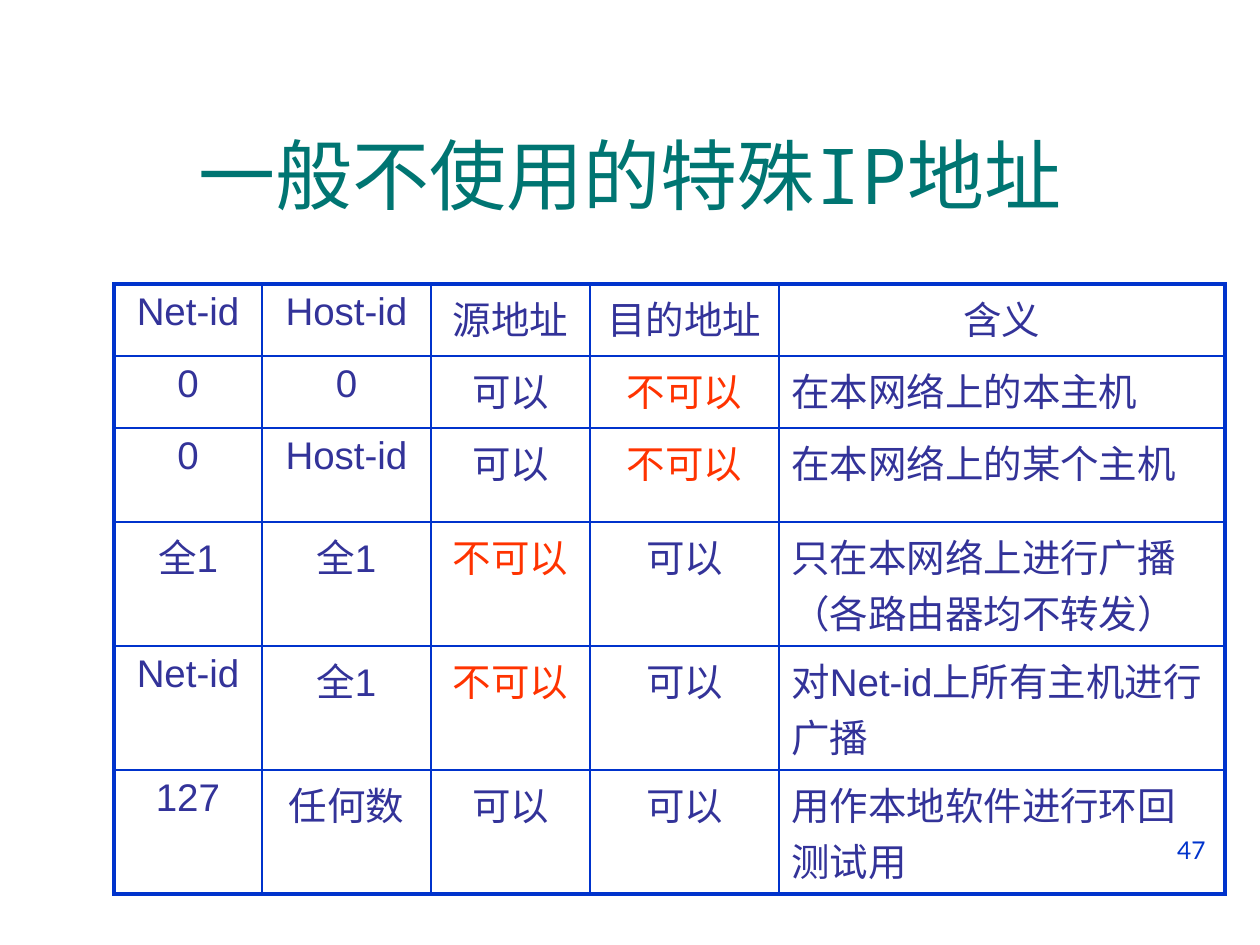
from dataclasses import dataclass

from lxml import etree
from pptx import Presentation
from pptx import util as u
from pptx.dml.color import RGBColor
from pptx.enum import text
from pptx.oxml import ns

PX = u.Inches(1) / 126


@dataclass(frozen=True)
class Theme:
    title: str = "007572"
    body: str = "333399"
    denied: str = "FF3300"
    line: str = "0033CC"
    title_size: int = 44
    body_size: int = 22
    number_size: int = 14
    outer_width: float = 2.25
    inner_width: float = 1


@dataclass(frozen=True)
class Style:
    font: str
    size: int
    color: str
    align: text.PP_ALIGN


@dataclass(frozen=True)
class Label:
    words: str
    left: int
    top: int
    width: int
    height: int
    style: Style
    anchor: text.MSO_ANCHOR


@dataclass(frozen=True)
class AddressRow:
    net: str
    host: str
    source: str
    destination: str
    meaning: str
    height: int

    def cells(self) -> tuple:
        return self.net, self.host, self.source, self.destination, self.meaning


THEME = Theme()
ALLOWED, DENIED = "可以", "不可以"
TABLE_LEFT, TABLE_TOP = 114, 284
COLUMN_WIDTHS = (148, 169, 159, 189, 446)
ONE_LINE, SPACED_LINE, TWO_LINES = 72, 94, 124

LABELS = (
    Label("47", 903, 829, 315, 66,
          Style("Lato", THEME.number_size, THEME.line, text.PP_ALIGN.RIGHT),
          text.MSO_ANCHOR.TOP),
    Label("一般不使用的特殊IP地址", 42, 95, 1176, 157,
          Style("Noto Sans Mono", THEME.title_size, THEME.title, text.PP_ALIGN.CENTER),
          text.MSO_ANCHOR.MIDDLE),
)

ROWS = (
    AddressRow("Net-id", "Host-id", "源地址", "目的地址", "含义", ONE_LINE),
    AddressRow("0", "0", ALLOWED, DENIED, "在本网络上的本主机", ONE_LINE),
    AddressRow("0", "Host-id", ALLOWED, DENIED, "在本网络上的某个主机", SPACED_LINE),
    AddressRow("全1", "全1", DENIED, ALLOWED,
               "只在本网络上进行广播（各路由器均不转发）", TWO_LINES),
    AddressRow("Net-id", "全1", DENIED, ALLOWED, "对Net-id上所有主机进行广播", TWO_LINES),
    AddressRow("127", "任何数", ALLOWED, ALLOWED, "用作本地软件进行环回测试用", TWO_LINES),
)


def px(length: int) -> int:
    return round(length * PX)


def write(text_frame, words: str, style: Style) -> None:
    text_frame.text = words
    paragraph = text_frame.paragraphs[0]
    paragraph.alignment = style.align
    for run in paragraph.runs:
        run.font.name = style.font
        run.font.size = u.Pt(style.size)
        run.font.color.rgb = RGBColor.from_string(style.color)


def add_label(slide, label: Label) -> None:
    shape = slide.shapes.add_textbox(
        px(label.left), px(label.top), px(label.width), px(label.height))
    shape.text_frame.word_wrap = True
    shape.text_frame.vertical_anchor = label.anchor
    write(shape.text_frame, label.words, label.style)


def set_borders(cell, outer_sides: dict) -> None:
    properties = cell._tc.get_or_add_tcPr()
    for index, (side, outer) in enumerate(outer_sides.items()):
        width = THEME.outer_width if outer else THEME.inner_width
        line = etree.Element(ns.qn(f"a:ln{side}"), w=str(u.Pt(width)))
        fill = etree.SubElement(line, ns.qn("a:solidFill"))
        etree.SubElement(fill, ns.qn("a:srgbClr"), val=THEME.line)
        properties.insert(index, line)


def add_address_table(slide, rows: tuple) -> None:
    last_row, last_column = len(rows) - 1, len(COLUMN_WIDTHS) - 1
    table = slide.shapes.add_table(
        len(rows), len(COLUMN_WIDTHS), px(TABLE_LEFT), px(TABLE_TOP),
        px(sum(COLUMN_WIDTHS)), px(sum(row.height for row in rows))).table
    table.first_row = table.horz_banding = False
    for column, width in zip(table.columns, COLUMN_WIDTHS):
        column.width = px(width)
    for r, row in enumerate(rows):
        table.rows[r].height = px(row.height)
        for c, words in enumerate(row.cells()):
            cell = table.cell(r, c)
            cell.fill.background()
            color = THEME.denied if words == DENIED else THEME.body
            is_meaning = r > 0 and c == last_column
            align = text.PP_ALIGN.LEFT if is_meaning else text.PP_ALIGN.CENTER
            write(cell.text_frame, words, Style("Arial", THEME.body_size, color, align))
            set_borders(cell, {"L": c == 0, "R": c == last_column,
                               "T": r == 0, "B": r == last_row})


def main() -> None:
    presentation = Presentation()
    presentation.slide_width, presentation.slide_height = px(1260), px(945)
    slide = presentation.slides.add_slide(presentation.slide_layouts[6])
    for label in LABELS:
        add_label(slide, label)
    add_address_table(slide, ROWS)
    presentation.save("out.pptx")


if __name__ == "__main__":
    main()
